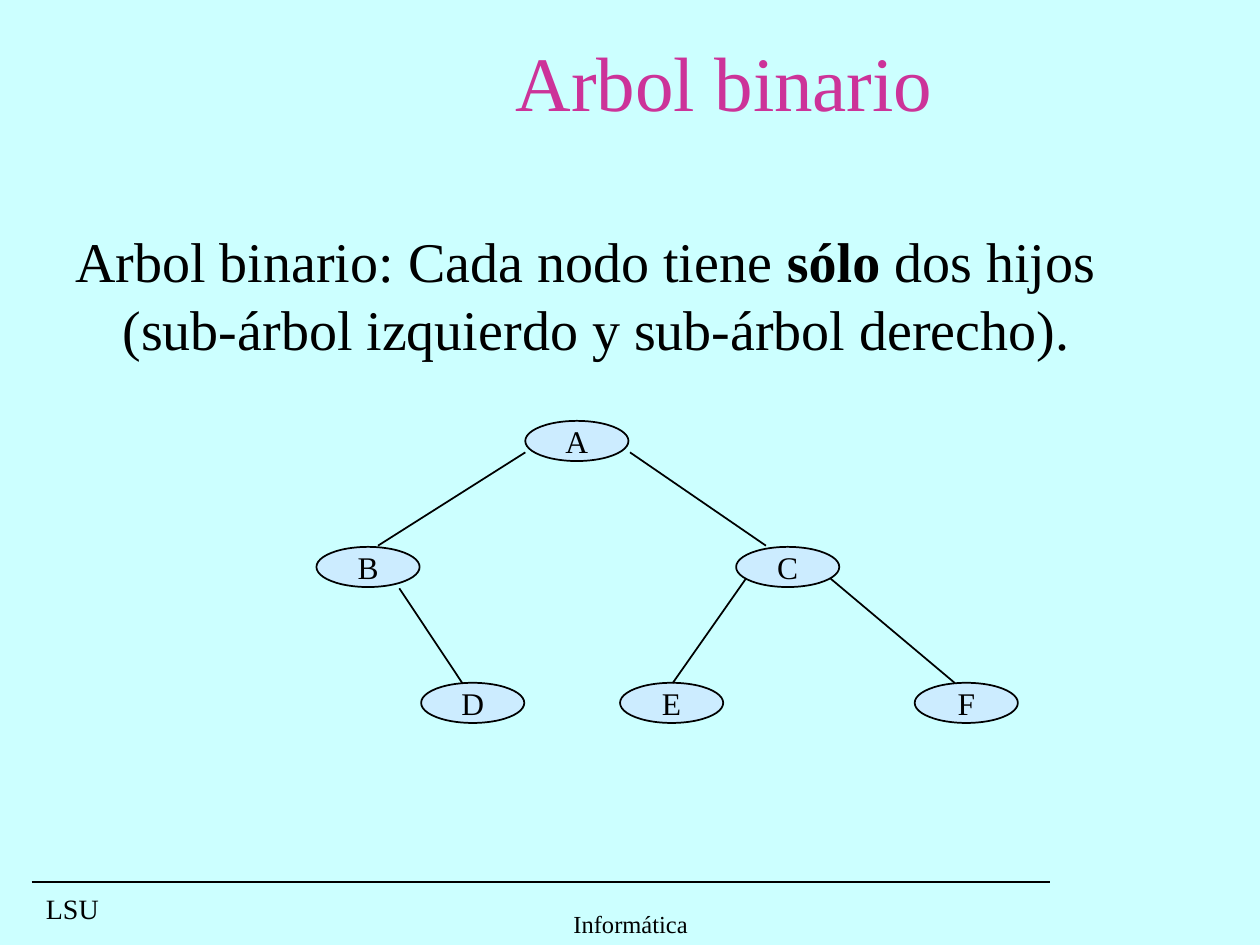
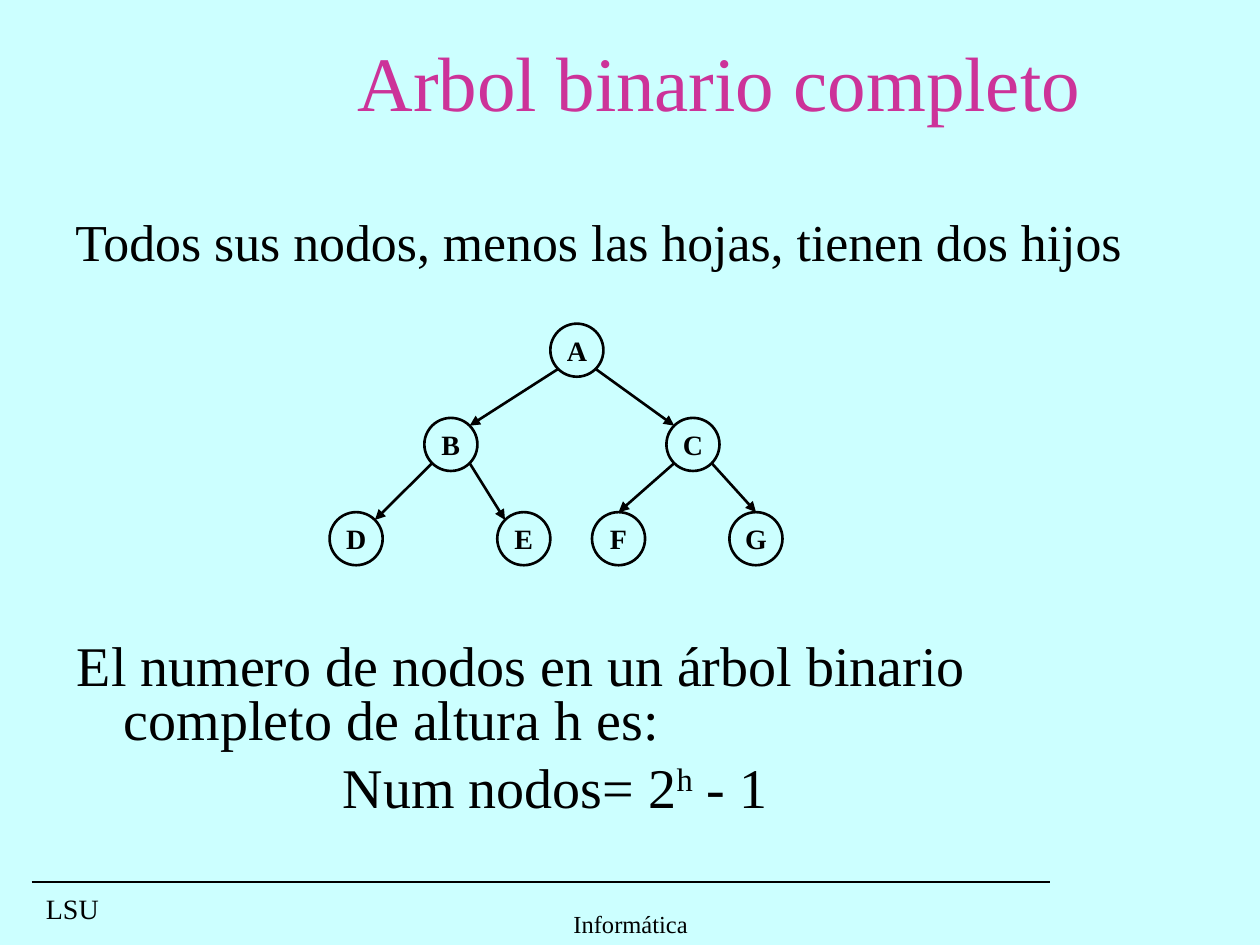
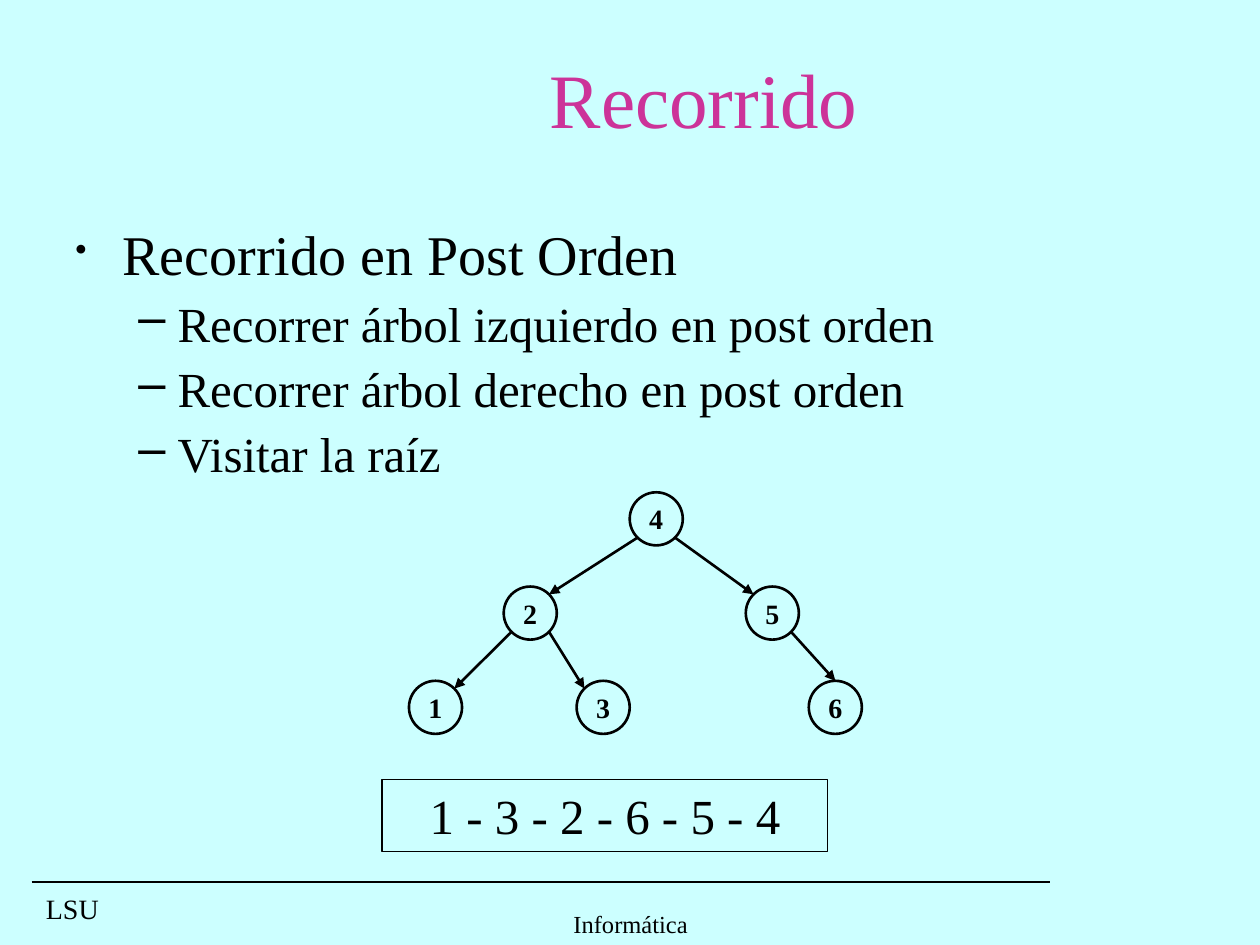
import math

import lxml.etree
import pptx
import pptx.dml.color
import pptx.enum.shapes
import pptx.enum.text
import pptx.oxml.ns
import pptx.util

Cm = pptx.util.Cm
Pt = pptx.util.Pt
RGBColor = pptx.dml.color.RGBColor
ALIGN = pptx.enum.text.PP_ALIGN
ANCHOR = pptx.enum.text.MSO_ANCHOR
SHAPE = pptx.enum.shapes.MSO_SHAPE
qn = pptx.oxml.ns.qn

FONT = "Times New Roman"
BACKGROUND = RGBColor(0xCC, 0xFF, 0xFF)
TITLE_COLOR = RGBColor(0xCC, 0x33, 0x99)
NODE_FILL = RGBColor(0xCC, 0xEC, 0xFF)
BLACK = RGBColor(0, 0, 0)

# Boxes are (left, top, width, height) and points (x, y), all in centimetres.
FOOTER_RULE = ((0.64, 17.78), (21.16, 17.78))
AUTHOR_BOX = (0.61, 17.93, 1.7, 0.86)
SUBJECT_BOX = (8.69, 17.98, 8.05, 1.07)
HANGING = dict(left=0.95, indent=-0.95, before=8)

TITLES = [
    ("Arbol binario", (3.81, 0.1, 21.59, 3.07)),
    ("Arbol binario completo", (3.81, 0.1, 21.39, 3.07)),
    ("Recorrido", (3.61, 0.97, 21.16, 2.01)),
]

DEFINITION_BOX = (1.27, 4.45, 22.86, 12.57)
DEFINITION = [
    ("Arbol binario: Cada nodo tiene ", {}),
    ("sólo", {"bold": True}),
    (" dos hijos (sub-árbol izquierdo y sub-árbol derecho).", {}),
]
OVAL_SIZE = (2.08, 0.81)
OVAL_NODES = {
    "A": (11.63, 8.89),
    "B": (7.42, 11.43), "C": (15.88, 11.43),
    "D": (9.53, 14.17), "E": (13.54, 14.17), "F": (19.48, 14.17),
}
OVAL_EDGES = [
    ((10.59, 9.12), (7.62, 11)), ((12.7, 9.12), (15.44, 11)),
    ((16.74, 11.66), (19.25, 13.77)), ((8.05, 11.86), (9.32, 13.77)),
    ((15.04, 11.66), (13.56, 13.77)),
]

COMPLETE_BOX = (1.27, 4.45, 22.86, 2.08)
COMPLETE_RULE = "Todos sus nodos, menos las hojas, tienen dos hijos"
COUNT_BOX = (1.3, 12.85, 22.86, 4.09)
COUNT_RULE = "El numero de nodos en un árbol binario completo de altura h es:"
COUNT_FORMULA = [("Num nodos= 2", {}), ("h", {"baseline": 30}), (" - 1", {})]

# Tree positions: horizontal offset from the root, and level.
CIRCLE = 1.07
LEVEL_HEIGHT = 1.9
POSITIONS = {
    "root": (0, 0),
    "left": (-2.54, 1), "right": (2.34, 1),
    "left left": (-4.45, 2), "left right": (-1.07, 2),
    "right left": (0.84, 2), "right right": (3.61, 2),
}
COMPLETE_ROOT = (11.63, 7.06)
COMPLETE_TREE = dict(zip(POSITIONS, "ABCDEFG"))
TRAVERSAL_ROOT = (13.23, 10.46)
TRAVERSAL_TREE = {
    "root": "4", "left": "2", "right": "5",
    "left left": "1", "left right": "3", "right right": "6",
}

TRAVERSAL_BOX = (1.27, 4.45, 22.86, 5.87)
TRAVERSAL_TITLE = "Recorrido en Post Orden"
TRAVERSAL_STEPS = [
    "Recorrer árbol izquierdo en post orden",
    "Recorrer árbol derecho en post orden",
    "Visitar la raíz",
]
RESULT_BOX = (7.7, 15.72, 8.99, 1.45)
RESULT = "1 - 3 - 2 - 6 - 5 - 4"


def add_runs(paragraph, runs, size, color=BLACK, bold=False):
    """Add text, given as a string or as (text, style) pairs."""
    if isinstance(runs, str):
        runs = [(runs, {})]
    for text, style in runs:
        run = paragraph.add_run()
        run.text = text
        run.font.name = FONT
        run.font.size = Pt(size)
        run.font.color.rgb = color
        run.font.bold = style.get("bold", bold)
        if "baseline" in style:
            run.font._element.set("baseline", str(style["baseline"] * 1000))


def set_bullet(properties, character, percent):
    color = lxml.etree.SubElement(properties, qn("a:buClr"))
    lxml.etree.SubElement(color, qn("a:srgbClr"), val=str(BLACK))
    lxml.etree.SubElement(properties, qn("a:buSzPct"), val=str(percent * 1000))
    lxml.etree.SubElement(properties, qn("a:buChar"), char=character)


def add_paragraph(frame, runs, size, left=0, indent=0, before=0, spacing=None,
                  align=ALIGN.LEFT, level=0, bullet=None, percent=100):
    first = frame.paragraphs[0]
    paragraph = frame.add_paragraph() if first.runs else first
    paragraph.alignment = align
    paragraph.level = level
    paragraph.space_before = Pt(before)
    paragraph.line_spacing = spacing
    properties = paragraph._p.get_or_add_pPr()
    properties.set("marL", str(Cm(left)))
    properties.set("indent", str(Cm(indent)))
    if bullet:
        set_bullet(properties, bullet, percent)
    add_runs(paragraph, runs, size)


def add_frame(slide, box, anchor=ANCHOR.TOP, wrap=True):
    frame = slide.shapes.add_textbox(*map(Cm, box)).text_frame
    frame.word_wrap = wrap
    frame.vertical_anchor = anchor
    return frame


def add_line(slide, start, end, width=1, arrow=False):
    connector = slide.shapes.add_connector(
        pptx.enum.shapes.MSO_CONNECTOR.STRAIGHT, *map(Cm, start + end))
    connector.line.color.rgb = BLACK
    connector.line.width = Pt(width)
    if arrow:
        line = connector.line._get_or_add_ln()
        lxml.etree.SubElement(line, qn("a:tailEnd"), type="triangle")
    lxml.etree.SubElement(connector._element.spPr, qn("a:effectLst"))


def add_outline(slide, kind, box, width, fill=None):
    shape = slide.shapes.add_shape(kind, *map(Cm, box))
    shape.shadow.inherit = False
    if fill is None:
        shape.fill.background()
    else:
        shape.fill.solid()
        shape.fill.fore_color.rgb = fill
    shape.line.color.rgb = BLACK
    shape.line.width = Pt(width)
    return shape


def add_node(slide, label, center, size, line_width, font_size, fill=None, bold=False):
    (x, y), (width, height) = center, size
    box = (x - width / 2, y - height / 2, width, height)
    frame = add_outline(slide, SHAPE.OVAL, box, line_width, fill).text_frame
    frame.word_wrap = False
    frame.vertical_anchor = ANCHOR.MIDDLE
    paragraph = frame.paragraphs[0]
    paragraph.alignment = ALIGN.CENTER
    add_runs(paragraph, label, font_size, bold=bold)


def add_circle_tree(slide, root, labels):
    """Draw the labelled positions, each joined to its parent by an arrow."""
    centers = {
        name: (root[0] + POSITIONS[name][0], root[1] + POSITIONS[name][1] * LEVEL_HEIGHT)
        for name in labels
    }
    for name, label in labels.items():
        add_node(slide, label, centers[name], (CIRCLE, CIRCLE), 1.5, 16, bold=True)
    radius = CIRCLE / 2
    diagonal = radius * math.sqrt(0.5)
    for name, (x, y) in centers.items():
        if name == "root":
            continue
        parent_x, parent_y = centers[name.rpartition(" ")[0] or "root"]
        side = math.copysign(diagonal, x - parent_x)
        start = (parent_x + side, parent_y + diagonal)
        if name.startswith("right "):
            end = (x, y - radius)
        else:
            end = (x - side, y - diagonal)
        add_line(slide, start, end, 1.5, arrow=True)


def add_title(slide, text, box):
    paragraph = add_frame(slide, box, ANCHOR.MIDDLE).paragraphs[0]
    paragraph.alignment = ALIGN.CENTER
    add_runs(paragraph, text, 44, TITLE_COLOR)
    properties = paragraph.runs[0].font._element
    effects = lxml.etree.Element(qn("a:effectLst"))
    shadow = lxml.etree.SubElement(effects, qn("a:outerShdw"), dist="35921", dir="2700000")
    lxml.etree.SubElement(shadow, qn("a:srgbClr"), val="808080")
    properties.find(qn("a:solidFill")).addnext(effects)


def add_base_slide(presentation, title, title_box):
    slide = presentation.slides.add_slide(presentation.slide_layouts[6])
    add_line(slide, *FOOTER_RULE)
    add_paragraph(add_frame(slide, AUTHOR_BOX), "LSU", 16,
                  before=10, spacing=0.9, align=ALIGN.CENTER)
    add_paragraph(add_frame(slide, SUBJECT_BOX, ANCHOR.BOTTOM, wrap=False),
                  "Informática", 14, align=ALIGN.CENTER)
    add_title(slide, title, title_box)
    return slide


def fill_binary_tree(slide):
    add_paragraph(add_frame(slide, DEFINITION_BOX), DEFINITION, 32, **HANGING)
    for label, center in OVAL_NODES.items():
        add_node(slide, label, center, OVAL_SIZE, 1, 18, NODE_FILL)
    for start, end in OVAL_EDGES:
        add_line(slide, start, end)


def fill_complete_tree(slide):
    add_paragraph(add_frame(slide, COMPLETE_BOX), COMPLETE_RULE, 29.6,
                  spacing=0.7, **HANGING)
    add_circle_tree(slide, COMPLETE_ROOT, COMPLETE_TREE)
    frame = add_frame(slide, COUNT_BOX)
    add_paragraph(frame, COUNT_RULE, 32, spacing=0.8, **HANGING)
    add_paragraph(frame, COUNT_FORMULA, 32, left=5.36, before=8, spacing=0.8)


def fill_traversal(slide):
    frame = add_frame(slide, TRAVERSAL_BOX)
    add_paragraph(frame, TRAVERSAL_TITLE, 32, spacing=0.9,
                  bullet="•", percent=60, **HANGING)
    for step in TRAVERSAL_STEPS:
        add_paragraph(frame, step, 28, left=2.06, indent=-0.79, before=7,
                      spacing=0.9, level=1, bullet="–")
    add_circle_tree(slide, TRAVERSAL_ROOT, TRAVERSAL_TREE)
    result = add_outline(slide, SHAPE.RECTANGLE, RESULT_BOX, 0.75).text_frame
    result.word_wrap = True
    result.vertical_anchor = ANCHOR.TOP
    add_paragraph(result, RESULT, 28, before=17.5, align=ALIGN.CENTER)


def main():
    presentation = pptx.Presentation()
    presentation.slide_width = Cm(25.4)
    presentation.slide_height = Cm(19.05)
    background = presentation.slide_master.background.fill
    background.solid()
    background.fore_color.rgb = BACKGROUND
    fillers = [fill_binary_tree, fill_complete_tree, fill_traversal]
    for (title, box), fill_slide in zip(TITLES, fillers):
        fill_slide(add_base_slide(presentation, title, box))
    presentation.save("out.pptx")


if __name__ == "__main__":
    main()
